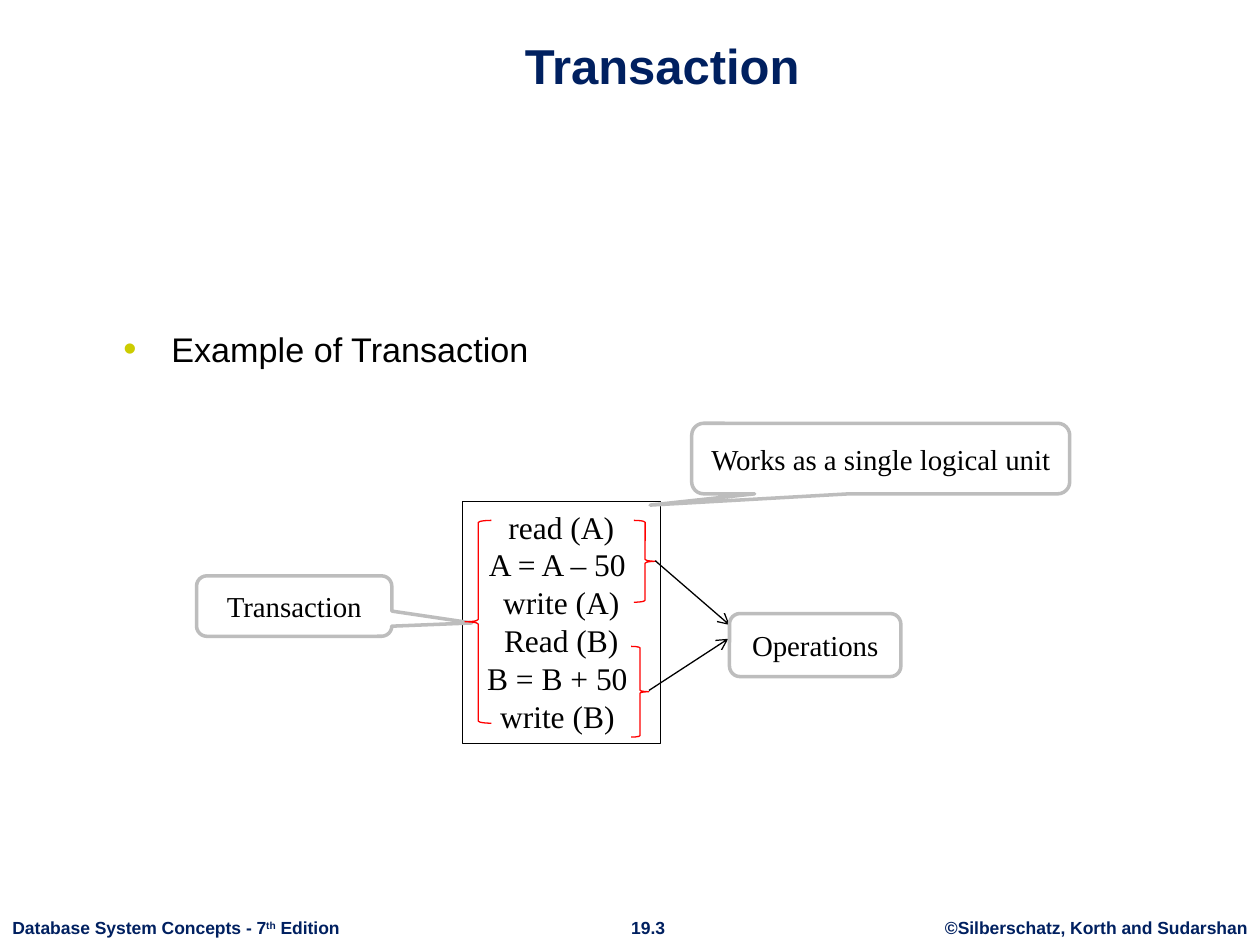
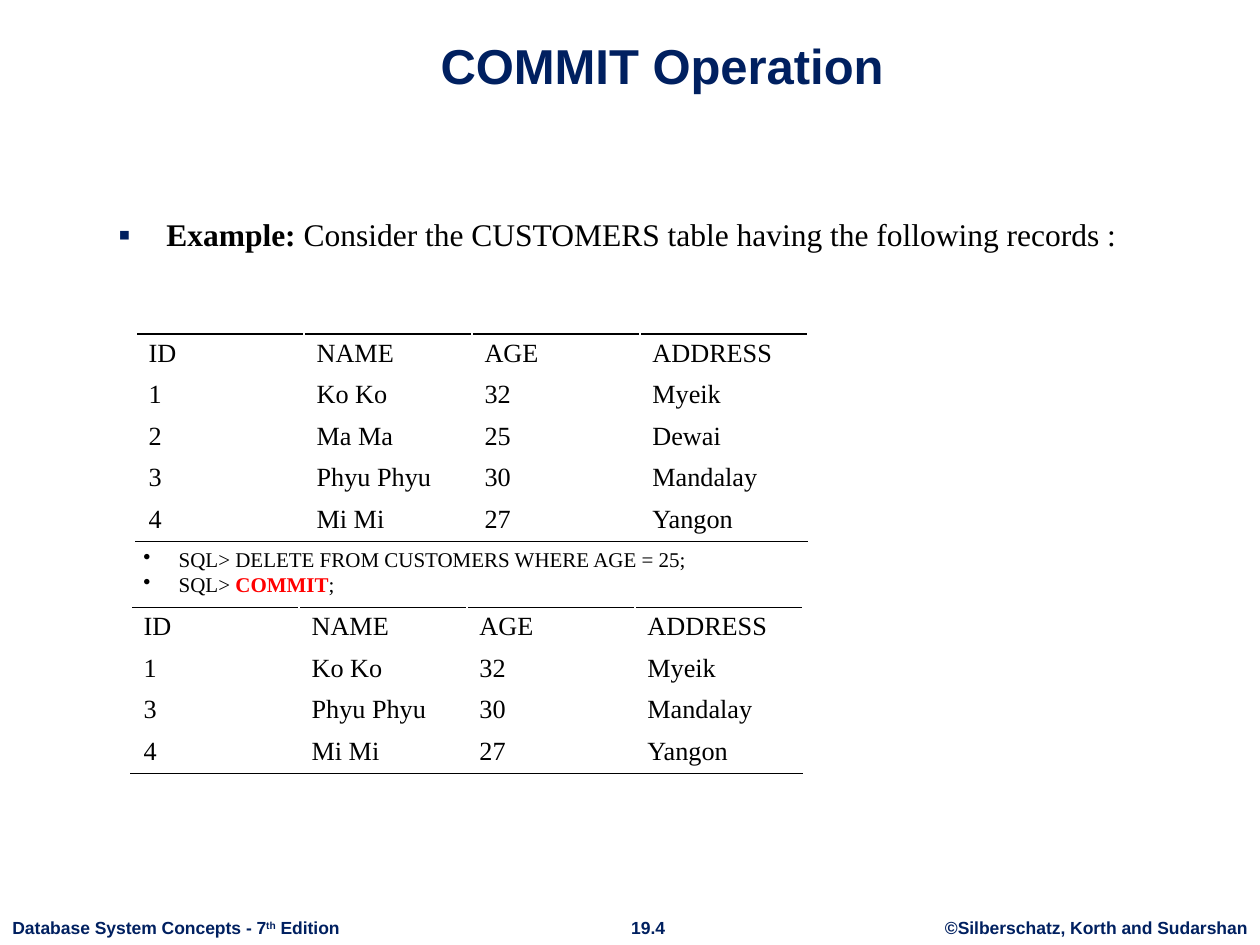
from lxml import etree
from pptx import Presentation
from pptx.dml.color import RGBColor
from pptx.enum.shapes import MSO_CONNECTOR, MSO_SHAPE
from pptx.enum.text import MSO_ANCHOR, MSO_AUTO_SIZE, PP_ALIGN
from pptx.oxml.ns import qn
from pptx.util import Inches, Pt

STRAIGHT = MSO_CONNECTOR.STRAIGHT
RECTANGLE, ROUNDED = MSO_SHAPE.RECTANGLE, MSO_SHAPE.ROUNDED_RECTANGLE
CALLOUT = MSO_SHAPE.ROUNDED_RECTANGULAR_CALLOUT
LEFT_BRACE, RIGHT_BRACE = MSO_SHAPE.LEFT_BRACE, MSO_SHAPE.RIGHT_BRACE
TOP, MIDDLE, BOTTOM = MSO_ANCHOR.TOP, MSO_ANCHOR.MIDDLE, MSO_ANCHOR.BOTTOM
LEFT, CENTER = PP_ALIGN.LEFT, PP_ALIGN.CENTER
FIXED, GROW = MSO_AUTO_SIZE.NONE, MSO_AUTO_SIZE.SHAPE_TO_FIT_TEXT

COLUMNS, ROWS = 10, 7.5
CELL = Inches(1)
NAVY, BLACK, WHITE = "002060", "000000", "FFFFFF"
RED, GREY, OLIVE = "FF0000", "BDBDBD", "CCCC00"
SANS, SERIF = "Arial", "Times New Roman"
FOOTER_TOP, FOOTER_HEIGHT = 7.23, 0.27

CODE_LINES = ["read (A)", "A = A – 50 ", "write (A)",
              "Read (B)", "B = B + 50 ", "write (B) "]
HEADINGS = ("ID", "NAME", "AGE", "ADDRESS")
CUSTOMERS = [
    ("1", "Ko Ko", "32", "Myeik"),
    ("2", "Ma Ma", "25", "Dewai"),
    ("3", "Phyu Phyu", "30", "Mandalay"),
    ("4", "Mi Mi", "27", "Yangon"),
]


def color(value):
    """Turn a hex string into a colour."""
    return RGBColor.from_string(value)


def grid(*lengths):
    """Turn grid columns and rows into slide lengths."""
    return [round(length * CELL) for length in lengths]


def add_node(parent, tag, **attributes):
    """Append a drawing element with attributes."""
    return etree.SubElement(parent, qn(tag), attributes)


def add_bullet(para, mark, indent, tint=None):
    """Give a paragraph a hanging bullet."""
    props = para._p.get_or_add_pPr()
    margin = grid(indent)[0]
    props.set("marL", str(margin))
    props.set("indent", str(-margin))
    if tint:
        add_node(add_node(props, "a:buClr"), "a:srgbClr", val=tint)
        add_node(props, "a:buSzPct", val="110000")
    add_node(props, "a:buChar", char=mark)


def write_text(frame, paragraphs, size=18, font=SERIF, tint=BLACK, bold=False,
               align=LEFT, anchor=TOP, wrap=True, fit=FIXED, bullet=None,
               before=0, spacing=None):
    """Fill a frame with paragraphs, each a string or a list of styled spans."""
    frame.word_wrap, frame.auto_size = wrap, fit
    frame.vertical_anchor = anchor
    for index, spans in enumerate(paragraphs):
        para = frame.add_paragraph() if index else frame.paragraphs[0]
        para.alignment = align
        if bullet:
            add_bullet(para, *bullet)
        para.space_before = Pt(before)
        if spacing:
            para.line_spacing = spacing
        for text, style in [(spans, {})] if isinstance(spans, str) else spans:
            span = para.add_run()
            span.text = text
            span.font.name, span.font.size = font, Pt(size)
            span.font.bold = style.get("bold", bold)
            span.font.color.rgb = color(style.get("tint", tint))
            if "raised" in style:
                span.font._element.set("baseline", str(style["raised"]))


def add_text(page, place, paragraphs, **style):
    """Add a text box."""
    box = page.shapes.add_textbox(*grid(*place))
    write_text(box.text_frame, paragraphs, **style)


def fill_placeholder(box, place, paragraphs, **style):
    """Move a placeholder and write its text."""
    box.left, box.top, box.width, box.height = grid(*place)
    write_text(box.text_frame, paragraphs, **style)


def add_outline(page, kind, place, line, weight, fill=None, adjust=()):
    """Add a preset shape with a line and an optional fill."""
    shape = page.shapes.add_shape(kind, *grid(*place))
    shape.shadow.inherit = False
    shape.line.color.rgb, shape.line.width = color(line), Pt(weight)
    if fill:
        shape.fill.solid()
        shape.fill.fore_color.rgb = color(fill)
    else:
        shape.fill.background()
    for index, value in enumerate(adjust):
        shape.adjustments[index] = value
    return shape


def add_label(page, kind, place, text, adjust=()):
    """Add a grey-edged label or callout."""
    shape = add_outline(page, kind, place, GREY, 2, WHITE, adjust)
    write_text(shape.text_frame, [text], size=16.5, align=CENTER, anchor=MIDDLE)


def add_arrow(page, start, end):
    """Add a thin straight arrow between two points."""
    arrow = page.shapes.add_connector(STRAIGHT, *grid(*start, *end))
    arrow.line.color.rgb, arrow.line.width = color(BLACK), Pt(0.75)
    add_node(arrow.line._get_or_add_ln(), "a:tailEnd", type="arrow")
    add_node(arrow._element.spPr, "a:effectLst")


def add_rule(cell, edge):
    """Draw a black rule along one edge of a table cell."""
    line = etree.Element(qn(edge), w=str(Pt(1)))
    add_node(add_node(line, "a:solidFill"), "a:srgbClr", val=BLACK)
    cell._tc.get_or_add_tcPr().insert(0, line)


def add_records(page, left, top, records, column=1.333, row=0.325):
    """Add a customer table ruled above and below."""
    rows = [HEADINGS, *records]
    size = (column * len(HEADINGS), row * len(rows))
    table = page.shapes.add_table(len(rows), len(HEADINGS),
                                  *grid(left, top, *size)).table
    table.first_row = table.horz_banding = False
    for row_index, values in enumerate(rows):
        for column_index, value in enumerate(values):
            cell = table.cell(row_index, column_index)
            cell.margin_left, cell.margin_right = grid(0.1, 0.1)
            cell.margin_top, cell.margin_bottom = grid(0.04, 0.04)
            cell.fill.background()
            write_text(cell.text_frame, [value], size=15)
            if row_index == 0:
                add_rule(cell, "a:lnT")
            if row_index == len(rows) - 1:
                add_rule(cell, "a:lnB")


def add_page(deck, title, number):
    """Add a slide with its title and footers."""
    page = deck.slides.add_slide(deck.slide_layouts[1])
    fill_placeholder(page.shapes.title, (0.84, 0.13, 8.83, 0.67), [title], size=28,
                     font=SANS, tint=NAVY, bold=True, align=CENTER, anchor=BOTTOM)
    edition = [("Database System Concepts - 7", {}), ("th", {"raised": 30000}),
               (" Edition", {})]
    footers = [
        (7.4, 2.6, "©Silberschatz, Korth and Sudarshan", CENTER),
        (4.86, 0.57, number, CENTER),
        (0, 2.81, edition, LEFT),
    ]
    for left, width, text, align in footers:
        add_text(page, (left, FOOTER_TOP, width, FOOTER_HEIGHT), [text], size=10,
                 font=SANS, tint=NAVY, bold=True, align=align, wrap=False,
                 fit=GROW, before=5)
    return page


def build_transaction(deck):
    """Build the annotated transaction example."""
    page = add_page(deck, "Transaction", "19.3")
    fill_placeholder(page.placeholders[1], (0.88, 2.39, 8.25, 1.42),
                     ["Example of Transaction"], size=19.5, font=SANS,
                     bullet=("•", 0.38, OLIVE), before=7, spacing=1.5)
    code = add_outline(page, RECTANGLE, (3.67, 3.98, 1.57, 1.92), BLACK, 0.75)
    write_text(code.text_frame, CODE_LINES, align=CENTER, fit=GROW)
    for place in ((5.03, 4.13, 0.18, 0.65), (5.01, 5.13, 0.14, 0.72)):
        add_outline(page, RIGHT_BRACE, place, RED, 0.75)
    add_arrow(page, (5.2, 4.45), (5.79, 4.96))
    add_arrow(page, (5.15, 5.48), (5.78, 5.07))
    add_label(page, ROUNDED, (5.79, 4.87, 1.36, 0.5), "Operations")
    add_label(page, CALLOUT, (5.49, 3.36, 3, 0.56), "Works as a single logical unit",
              (-0.61, 0.66, 0.17))
    add_label(page, CALLOUT, (1.56, 4.57, 1.55, 0.48), "Transaction",
              (0.91, 0.28, 0.17))
    add_outline(page, LEFT_BRACE, (3.69, 4.13, 0.21, 1.61), RED, 0.75)


def build_commit(deck):
    """Build the customer tables before and after the commit."""
    page = add_page(deck, "COMMIT Operation", "19.4")
    example = [("Example: ", {"bold": True}),
               ("Consider the CUSTOMERS table having the following records :", {})]
    fill_placeholder(page.placeholders[1], (0.84, 1.66, 8.25, 0.4), [example],
                     bullet=("▪", 0.38, NAVY), before=6, fit=GROW)
    add_records(page, 1.08, 2.65, CUSTOMERS)
    commit = [("SQL> ", {}), ("COMMIT", {"tint": RED, "bold": True}), (";", {})]
    add_text(page, (1.04, 4.29, 5, 0.5),
             ["SQL> DELETE FROM CUSTOMERS WHERE AGE = 25;", commit],
             size=12, bullet=("•", 0.28), fit=GROW)
    remaining = [record for record in CUSTOMERS if record[2] != "25"]
    add_records(page, 1.04, 4.82, remaining)


def main():
    """Build and save the deck."""
    deck = Presentation()
    deck.slide_width, deck.slide_height = grid(COLUMNS, ROWS)
    build_transaction(deck)
    build_commit(deck)
    deck.save("out.pptx")


if __name__ == "__main__":
    main()
